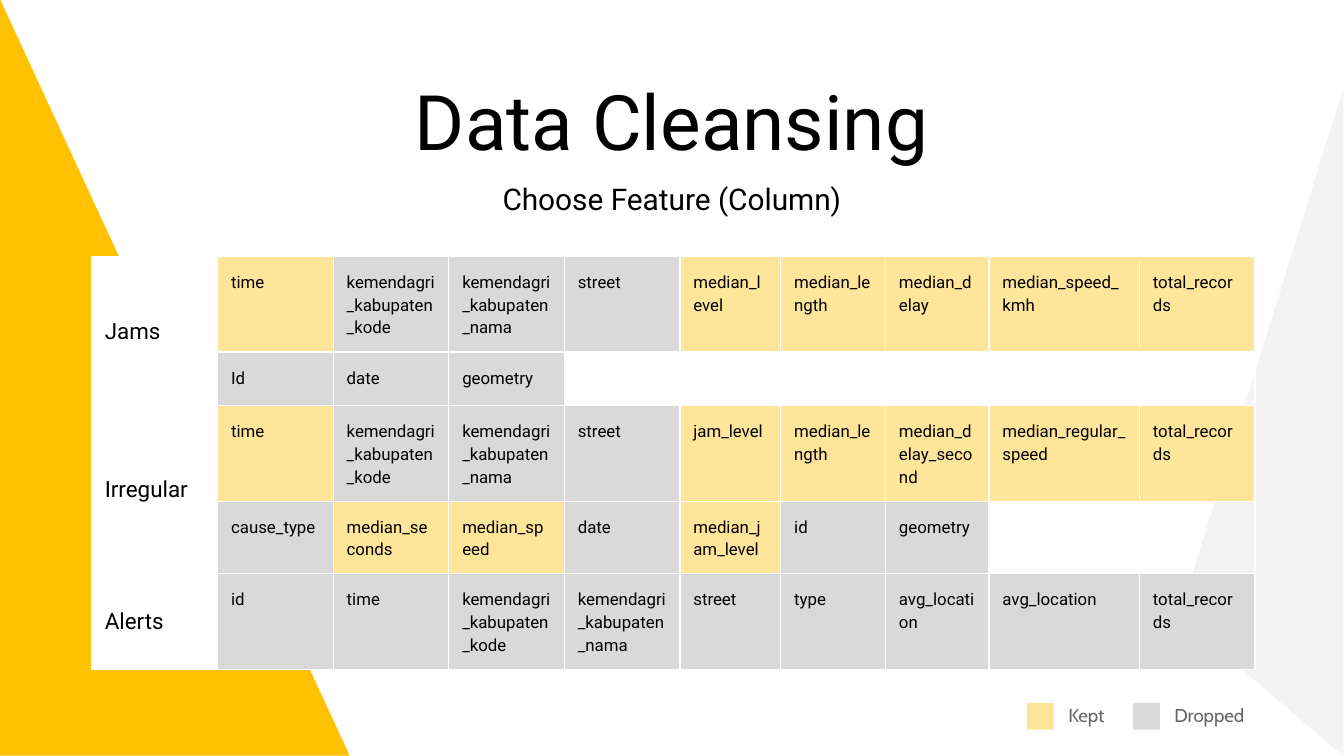
from dataclasses import dataclass

from lxml.etree import SubElement as Sub
from pptx import Presentation
from pptx.dml.color import RGBColor as RGB
from pptx.enum.shapes import MSO_SHAPE as Shape
from pptx.enum.text import MSO_ANCHOR as Anchor, MSO_AUTO_SIZE as Fit, PP_ALIGN as Align
from pptx.oxml.ns import qn
from pptx.util import Inches, Pt


@dataclass(frozen=True)
class Theme:
    gold: str = "FFC100"
    pale: str = "F3F3F3"
    kept: str = "FFE599"
    drop: str = "D9D9D9"
    white: str = "FFFFFF"
    black: str = "000000"
    grey: str = "666666"
    font: str = "Roboto"
    alt: str = "Cabin"
    title: int = 41
    sub: int = 16
    head: int = 12
    note: int = 10
    cell: int = 9


T = Theme()
WIDE = 10
HIGH = WIDE * 9 / 16
PAD = Inches(0.1)

# Table grid, in inches
LEFT, TOP = 0.68, 1.91
COLS = [0.94] + [0.86] * 4 + [0.75, 0.78, 0.77, 1.12, 0.86]
ROWS = [0.71, 0.4, 0.71, 0.54, 0.71]

# Features of each data set, one string a row; + marks a kept one
KODE, NAMA = "kemendagri_kabupaten_kode", "kemendagri_kabupaten_nama"
SETS = {
    "Jams": [
        f"+time {KODE} {NAMA} street +median_level +median_length "
        "+median_delay +median_speed_kmh +total_records",
        "Id date geometry",
    ],
    "Irregular": [
        f"+time {KODE} {NAMA} street +jam_level +median_length "
        "+median_delay_second +median_regular_speed +total_records",
        "cause_type +median_seconds +median_speed date +median_jam_level id geometry",
    ],
    "Alerts": [
        f"id time {KODE} {NAMA} street type avg_location avg_location total_records",
    ],
}


def write(frame, text, size, font=T.font, color=T.black, align=None,
          lead=None, before=None):
    """Put one formatted paragraph into a text frame."""
    para = frame.paragraphs[0]
    para.alignment, para.line_spacing = align, lead
    if before is not None:
        para.space_before = Pt(before)
    run = para.add_run()
    run.text = text
    run.font.size, run.font.name = Pt(size), font
    run.font.color.rgb = RGB.from_string(color)


def pad(box):
    box.margin_left = box.margin_right = box.margin_top = box.margin_bottom = PAD


def place(item, *box):
    item.left, item.top, item.width, item.height = map(Inches, box)


def draw(slide, kind, box, color, turn=0):
    item = slide.shapes.add_shape(kind, *map(Inches, box))
    item.fill.solid()
    item.fill.fore_color.rgb = RGB.from_string(color)
    item.line.fill.background()
    item.shadow.inherit = False
    item.rotation = turn
    return item


def back(slide):
    """Coloured triangles at both edges."""
    tri = draw(slide, Shape.ISOSCELES_TRIANGLE, (6.9, 2.53, 4.97, 1.22), T.pale, 270)
    tri.adjustments[0] = 0.21
    tri = draw(slide, Shape.RIGHT_TRIANGLE, (-1.51, 1.51, HIGH, 2.6), T.gold, 90)
    tri.element.spPr.xfrm.set("flipH", "1")


def label(item, box, text, size, anchor):
    """Move a placeholder and fill it."""
    place(item, *box)
    frame = item.text_frame
    pad(frame)
    frame.word_wrap, frame.auto_size = True, Fit.NONE
    frame.vertical_anchor = anchor
    write(frame, text, size, align=Align.CENTER, before=0)


def edge(cell):
    """White hairline on all four sides; must come before the fill."""
    props = cell._tc.get_or_add_tcPr()
    for side in ("lnL", "lnR", "lnT", "lnB"):
        line = Sub(props, qn(f"a:{side}"), w=str(Pt(0.75)))
        fill = Sub(line, qn("a:solidFill"))
        Sub(fill, qn("a:srgbClr"), val=T.white)


def paint(cell, color):
    cell.fill.solid()
    cell.fill.fore_color.rgb = RGB.from_string(color)


def name(cell, text):
    paint(cell, T.white)
    cell.vertical_anchor = Anchor.MIDDLE
    write(cell.text_frame, text, T.head)


def fact(cell, word):
    paint(cell, T.kept if word.startswith("+") else T.drop)
    write(cell.text_frame, word.lstrip("+"), T.cell, lead=1.15, before=12)


def blank(cell):
    """Small type in an empty cell, so that it does not stretch its row."""
    para = cell.text_frame.paragraphs[0]
    Sub(para._p, qn("a:endParaRPr"), sz=str(T.cell * 100))


def grid(slide):
    """Table of features, with a row head for each data set."""
    box = map(Inches, (LEFT, TOP, sum(COLS), sum(ROWS)))
    table = slide.shapes.add_table(len(ROWS), len(COLS), *box).table
    table.first_row = table.horz_banding = False
    for col, width in zip(table.columns, COLS):
        col.width = Inches(width)
    for row, height in zip(table.rows, ROWS):
        row.height = Inches(height)
    for cell in table.iter_cells():
        pad(cell)
        edge(cell)
        cell.fill.background()

    row, last = 0, len(COLS) - 1
    for title, lines in SETS.items():
        head = table.cell(row, 0)
        if len(lines) > 1:
            head.merge(table.cell(row + len(lines) - 1, 0))
        name(head, title)
        for line in lines:
            words = line.split()
            for col, word in enumerate(words, 1):
                fact(table.cell(row, col), word)
            if len(words) < last:
                table.cell(row, len(words) + 1).merge(table.cell(row, last))
            row += 1
    for cell in table.iter_cells():
        if not cell.text:
            blank(cell)


def key(slide, left, width, text, color):
    """Legend swatch and its word."""
    draw(slide, Shape.RECTANGLE, (left, 5.23, 0.2, 0.2), color)
    item = slide.shapes.add_textbox(*map(Inches, (left + 0.21, 5.15, width, 0.37)))
    frame = item.text_frame
    pad(frame)
    frame.word_wrap, frame.auto_size = True, Fit.SHAPE_TO_FIT_TEXT
    write(frame, text, T.note, font=T.alt, color=T.grey)


def main():
    deck = Presentation()
    deck.slide_width, deck.slide_height = Inches(WIDE), Inches(HIGH)
    slide = deck.slides.add_slide(deck.slide_layouts[0])
    title, sub = slide.placeholders
    back(slide)
    # Headings go above the triangles
    for item in (title, sub):
        slide.shapes._spTree.append(item.element)
    label(title, (0.88, 0.45, 8.24, 0.63), "Data Cleansing", T.title, Anchor.TOP)
    label(sub, (2.77, 1.31, 4.46, 0.34), "Choose Feature (Column)", T.sub, Anchor.MIDDLE)
    grid(slide)
    key(slide, 8.43, 0.87, "Dropped", T.drop)
    key(slide, 7.64, 0.61, "Kept", T.kept)
    deck.save("out.pptx")


if __name__ == "__main__":
    main()
